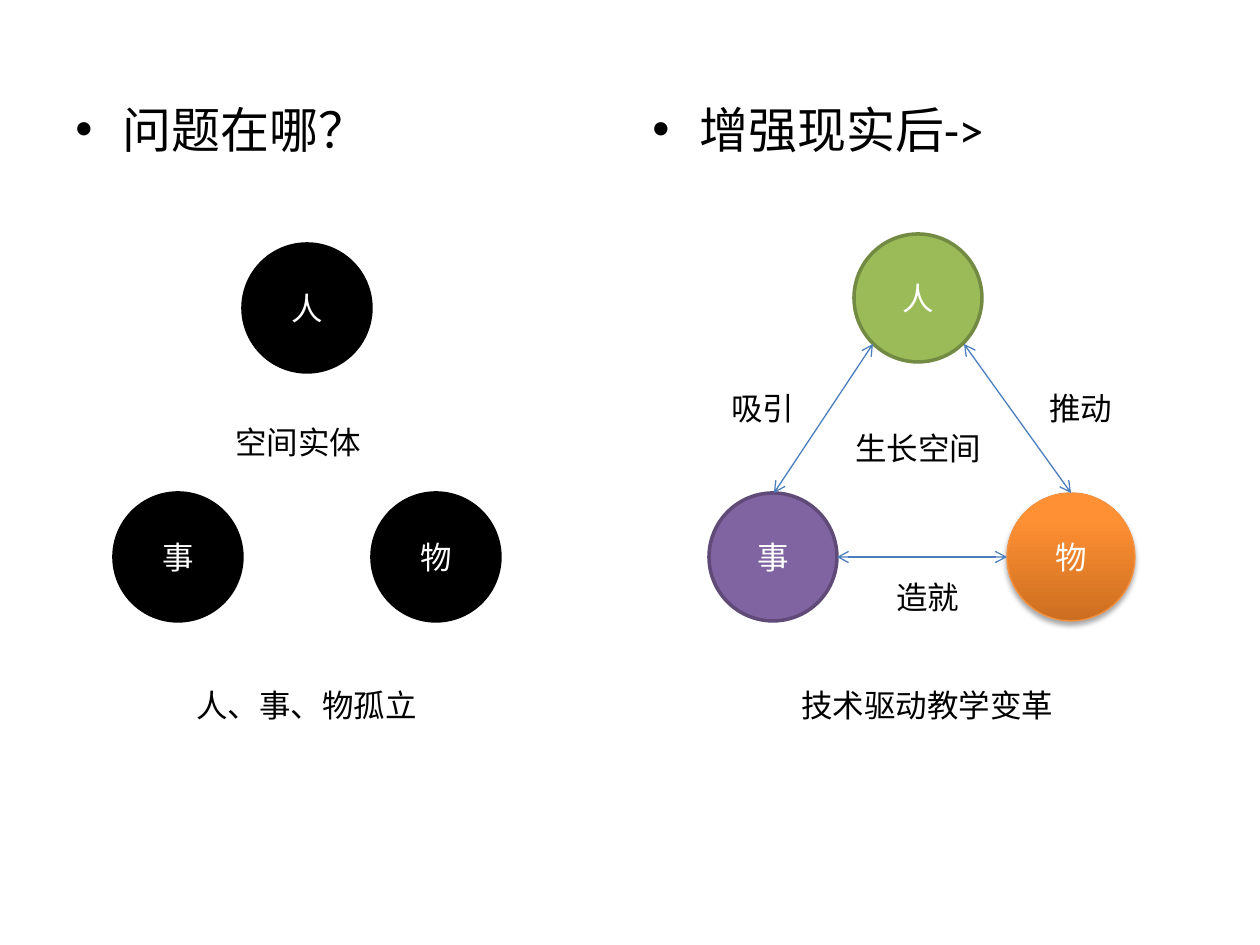
"""Build a slide contrasting isolated elements with a connected growth space."""
from copy import deepcopy
from dataclasses import dataclass
from typing import Optional

from lxml import etree
from pptx import Presentation
from pptx.dml.color import RGBColor
from pptx.enum.shapes import MSO_CONNECTOR, MSO_SHAPE
from pptx.enum.text import MSO_AUTO_SIZE
from pptx.oxml.ns import qn
from pptx.util import Emu, Pt

OVAL = MSO_SHAPE.OVAL
STRAIGHT = MSO_CONNECTOR.STRAIGHT
FIT = MSO_AUTO_SIZE.SHAPE_TO_FIT_TEXT
PX_PER_INCH = 126
DIAMETER = 128
LABEL_H = 50


@dataclass(frozen=True)
class Theme:
    font: str = "Calibri"
    title_size: int = 28
    label_size: int = 18
    ink: str = "000000"
    paper: str = "FFFFFF"
    green: str = "9BBB59"
    green_edge: str = "738A42"
    purple: str = "8064A2"
    purple_edge: str = "5F4A78"
    orange_edge: str = "F69240"
    orange_stops: tuple = ((0, "CC6E20"), (0.8, "FF9034"), (1, "FF9136"))
    arrow: str = "4B7EBC"
    node_line: float = 2
    thin_line: float = 0.75


@dataclass(frozen=True)
class Node:
    text: str
    x: int
    y: int
    fill: Optional[str]
    edge: str
    width: float = 2


@dataclass(frozen=True)
class Label:
    text: str
    x: int
    y: int
    w: int
    wrap: bool = True


@dataclass(frozen=True)
class Arrow:
    x1: int
    y1: int
    x2: int
    y2: int


T = Theme()
ROW_Y = 493
HEADINGS = (Label("问题在哪？", 63, 93, 557), Label("增强现实后->", 640, 93, 557))
NODES = (
    Node("人", 243, 244, T.ink, T.ink),
    Node("物", 372, ROW_Y, T.ink, T.ink),
    Node("事", 114, ROW_Y, T.ink, T.ink),
    Node("物", 1007, ROW_Y, None, T.orange_edge, T.thin_line),
    Node("事", 709, ROW_Y, T.purple, T.purple_edge),
    Node("人", 854, 234, T.green, T.green_edge),
)
LABELS = (
    Label("空间实体", 223, 417, 155),
    Label("人、事、物孤立", 184, 680, 247),
    Label("生长空间", 843, 423, 151, False),
    Label("吸引", 719, 383, 110),
    Label("造就", 884, 572, 110),
    Label("推动", 1037, 383, 110),
    Label("技术驱动教学变革", 789, 680, 302),
)
ARROWS = (
    Arrow(873, 344, 774, ROW_Y),
    Arrow(1071, ROW_Y, 964, 344),
    Arrow(837, 557, 1007, 557),
)


def px(n: int) -> Emu:
    return Emu(round(n * 914400 / PX_PER_INCH))


def rgb(value: str) -> RGBColor:
    return RGBColor.from_string(value)


def add_text(slide, label: Label, h: int, size: int, color: str):
    sp = slide.shapes.add_textbox(*map(px, (label.x, label.y, label.w, h)))
    tf = sp.text_frame
    tf.word_wrap = label.wrap
    p = tf.paragraphs[0]
    r = p.add_run()
    r.text = label.text
    for name, value in {"name": T.font, "size": Pt(size)}.items():
        setattr(r.font, name, value)
    r.font.color.rgb = rgb(color)
    return tf, p


def add_heading(slide, label: Label) -> None:
    _, p = add_text(slide, label, 751, T.title_size, T.ink)
    p.space_before = Pt(T.title_size * 0.2)
    pPr = p._p.get_or_add_pPr()
    for name, value in {"marL": px(47), "indent": -px(47)}.items():
        pPr.set(name, str(int(value)))
    etree.SubElement(pPr, qn("a:buFont")).set("typeface", "Arial")
    etree.SubElement(pPr, qn("a:buChar")).set("char", "•")


def add_label(slide, label: Label, color: str = T.ink) -> None:
    tf, _ = add_text(slide, label, LABEL_H, T.label_size, color)
    tf.auto_size = FIT


def add_gradient(sp) -> None:
    sp.fill.gradient()
    sp.fill.gradient_angle = 90
    gs_lst = sp._element.spPr.find(f".//{qn('a:gsLst')}")
    gs_lst.append(deepcopy(gs_lst[-1]))
    for stop, (position, color) in zip(sp.fill.gradient_stops, T.orange_stops):
        stop.position = position
        stop.color.rgb = rgb(color)


def add_shadow(sp) -> None:
    effects = sp._element.spPr.find(qn("a:effectLst"))
    shadow = etree.SubElement(effects, qn("a:outerShdw"))
    values = {"blurRad": Pt(3.1), "dist": Pt(1.8), "dir": 5400000, "rotWithShape": 0}
    for name, value in values.items():
        shadow.set(name, str(int(value)))
    color = etree.SubElement(shadow, qn("a:srgbClr"), val=T.ink)
    etree.SubElement(color, qn("a:alpha"), val="35000")


def add_node(slide, node: Node) -> None:
    sp = slide.shapes.add_shape(OVAL, *map(px, (node.x, node.y, DIAMETER, DIAMETER)))
    sp.line.color.rgb = rgb(node.edge)
    sp.line.width = Pt(node.width)
    sp.shadow.inherit = False
    if node.fill:
        sp.fill.solid()
        sp.fill.fore_color.rgb = rgb(node.fill)
    else:
        add_gradient(sp)
        add_shadow(sp)


def add_arrow(slide, arrow: Arrow) -> None:
    ends = (arrow.x1, arrow.y1, arrow.x2, arrow.y2)
    sp = slide.shapes.add_connector(STRAIGHT, *map(px, ends))
    sp.line.color.rgb = rgb(T.arrow)
    sp.line.width = Pt(T.thin_line)
    ln = sp.line._get_or_add_ln()
    for tag in ("a:headEnd", "a:tailEnd"):
        etree.SubElement(ln, qn(tag), type="arrow")
    etree.SubElement(sp._element.spPr, qn("a:effectLst"))


def main() -> None:
    prs = Presentation()
    prs.slide_width, prs.slide_height = px(1260), px(945)
    slide = prs.slides.add_slide(prs.slide_layouts[6])
    for heading in HEADINGS:
        add_heading(slide, heading)
    for node in NODES:
        add_node(slide, node)
    for node in NODES:
        add_label(slide, Label(node.text, node.x + 36, node.y + 39, 57, False), T.paper)
    for arrow in ARROWS:
        add_arrow(slide, arrow)
    for label in LABELS:
        add_label(slide, label)
    prs.save("out.pptx")


if __name__ == "__main__":
    main()
